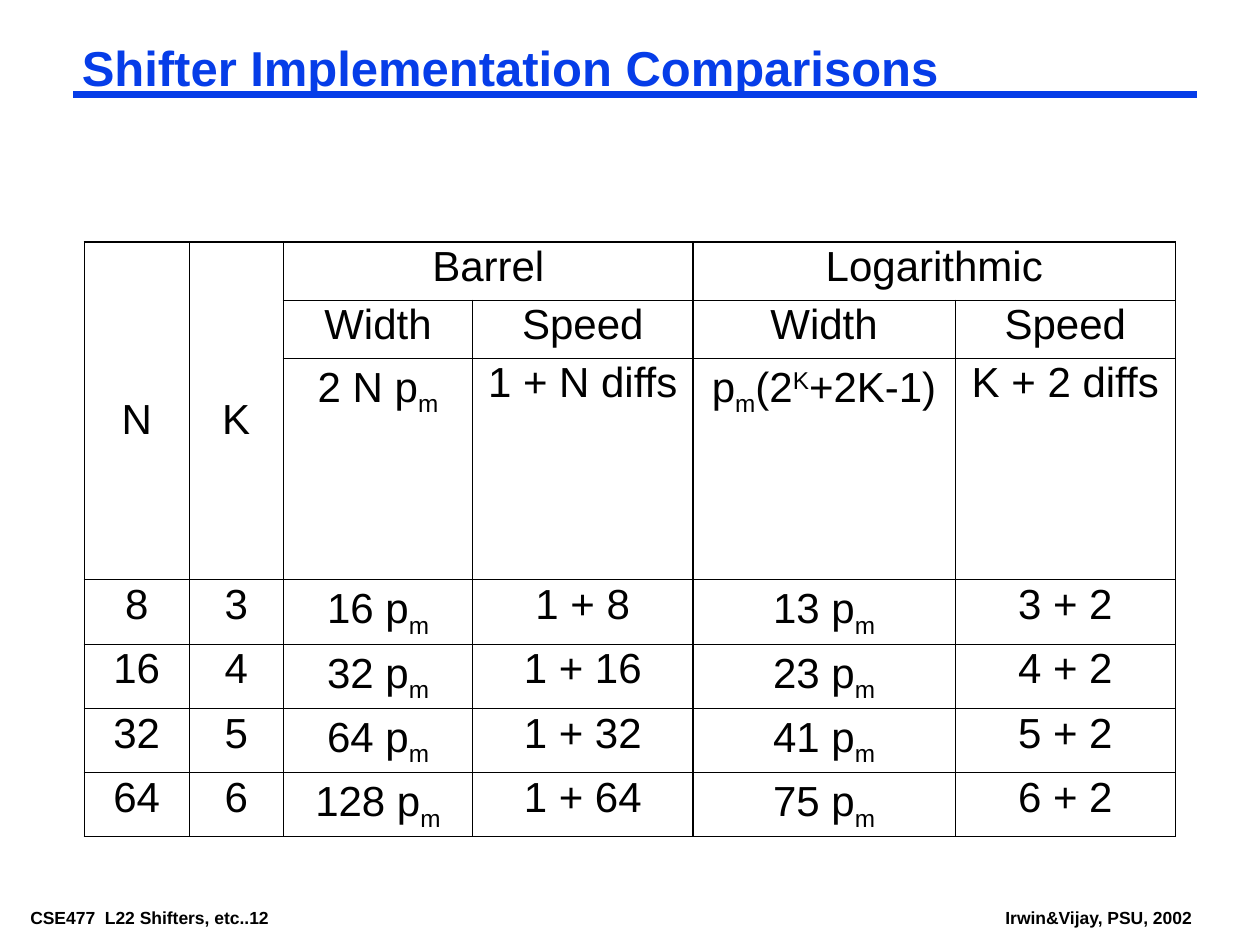
from dataclasses import dataclass
from itertools import product

from lxml.etree import SubElement
from pptx import Presentation
from pptx.dml.color import RGBColor
from pptx.enum.shapes import MSO_CONNECTOR
from pptx.enum.text import MSO_ANCHOR, MSO_AUTO_SIZE, PP_ALIGN
from pptx.oxml.ns import qn
from pptx.util import Inches, Pt


@dataclass(frozen=True)
class Theme:
    font: str = "Arial"
    ink: RGBColor = RGBColor(0x00, 0x00, 0x00)
    blue: RGBColor = RGBColor(0x06, 0x3D, 0xE8)
    paper: RGBColor = RGBColor(0xFF, 0xFF, 0xFF)
    head: int = 28
    body: int = 24
    foot: int = 10
    rule: float = 4.5
    thick: float = 1.08
    thin: float = 0.45


@dataclass(frozen=True)
class Note:
    text: str
    left: float
    width: float


@dataclass(frozen=True)
class Span:
    row: int
    col: int
    rows: int
    cols: int


THEME = Theme()
NOTES = [
    Note("CSE477  L22 Shifters, etc..12", 0.17, 2.55),
    Note("Irwin&Vijay, PSU, 2002", 7.91, 1.63),
]
COLS = [0.83, 0.75, 1.5, 1.75, 2.08, 1.75]
ROWS = [0.46, 0.46, 1.76] + [0.51] * 4
SPANS = [Span(0, 0, 3, 1), Span(0, 1, 3, 1), Span(0, 2, 1, 2), Span(0, 4, 1, 2)]
# Grid lines, counted from the left and from the top, that are thick
THICK_X = {0, 2, 3, 4, 6}
THICK_Y = {0, 3, 7}

# "|" parts the runs; "_" opens a subscript and "^" a superscript
HEADS = [
    ["N", "K", "Barrel", "", "Logarithmic", ""],
    ["", "", "Width", "Speed", "Width", "Speed"],
    ["", "", "2 N p|_m", "1 + N diffs", "p|_m|(2|^K|+2K-1)", "K + 2 diffs"],
]
SIZES = [(8, 3, 13), (16, 4, 23), (32, 5, 41), (64, 6, 75)]
DATA = [
    [str(n), str(k), f"{2 * n} p|_m", f"1 + {n}", f"{log} p|_m", f"{k} + 2"]
    for n, k, log in SIZES
]
SHIFT = {"_": "-25000", "^": "30000"}


def style(para, size: float, color: RGBColor, bold: bool = False) -> None:
    font = para.font
    font.name, font.size, font.bold = THEME.font, Pt(size), bold
    font.color.rgb = color


def inset(frame) -> None:
    frame.margin_left = frame.margin_right = Inches(0.07)
    frame.margin_top = frame.margin_bottom = Inches(0.03)


def add_title(slide, text: str) -> None:
    title = slide.shapes.title
    title.left, title.top = Inches(0.58), Inches(0.33)
    title.width, title.height = Inches(8.92), Inches(0.46)
    frame = title.text_frame
    inset(frame)
    frame.auto_size = MSO_AUTO_SIZE.SHAPE_TO_FIT_TEXT
    frame.vertical_anchor = MSO_ANCHOR.TOP
    frame.text = text
    para = frame.paragraphs[0]
    para.alignment, para.line_spacing = PP_ALIGN.LEFT, 0.87
    style(para, THEME.head, THEME.blue, True)


def add_rule(slide) -> None:
    y = Inches(0.75)
    rule = slide.shapes.add_connector(
        MSO_CONNECTOR.STRAIGHT, Inches(0.58), y, Inches(9.5), y)
    rule.line.color.rgb, rule.line.width = THEME.blue, Pt(THEME.rule)
    SubElement(rule._element.spPr, qn("a:effectLst"))


def add_note(slide, note: Note) -> None:
    box = slide.shapes.add_textbox(
        Inches(note.left), Inches(7.17), Inches(note.width), Inches(0.22))
    frame = box.text_frame
    inset(frame)
    frame.word_wrap = False
    frame.auto_size = MSO_AUTO_SIZE.SHAPE_TO_FIT_TEXT
    frame.text = note.text
    style(frame.paragraphs[0], THEME.foot, THEME.ink, True)


def fill_cell(cell, text: str) -> None:
    para = cell.text_frame.paragraphs[0]
    para.alignment, para.line_spacing = PP_ALIGN.CENTER, 0.9
    style(para, THEME.body, THEME.ink)
    for part in text.split("|"):
        run = para.add_run()
        run.text = part.lstrip("_^")
        if part[0] in SHIFT:
            run._r.get_or_add_rPr().set("baseline", SHIFT[part[0]])


def edge_cell(cell, row: int, col: int) -> None:
    """Draw the four borders, thick where the grid line is thick."""
    right, low = col + cell.span_width, row + cell.span_height
    props = cell._tc.get_or_add_tcPr()
    sides = {"L": col in THICK_X, "R": right in THICK_X,
             "T": row in THICK_Y, "B": low in THICK_Y}
    for side, thick in sides.items():
        width = Pt(THEME.thick if thick else THEME.thin)
        line = SubElement(props, qn(f"a:ln{side}"), w=str(width))
        fill = SubElement(line, qn("a:solidFill"))
        SubElement(fill, qn("a:srgbClr"), val=str(THEME.ink))


def add_grid(slide) -> None:
    grid = slide.shapes.add_table(
        len(ROWS), len(COLS), Inches(0.67), Inches(1.92),
        Inches(sum(COLS)), Inches(sum(ROWS))).table
    grid.first_row = grid.horz_banding = False
    for col, width in zip(grid.columns, COLS):
        col.width = Inches(width)
    for row, height in zip(grid.rows, ROWS):
        row.height = Inches(height)
    for span in SPANS:
        last = grid.cell(span.row + span.rows - 1, span.col + span.cols - 1)
        grid.cell(span.row, span.col).merge(last)
    texts = HEADS + DATA
    for row, col in product(range(len(ROWS)), range(len(COLS))):
        cell = grid.cell(row, col)
        if cell.is_spanned:
            continue
        edge_cell(cell, row, col)
        cell.fill.solid()
        cell.fill.fore_color.rgb = THEME.paper
        fill_cell(cell, texts[row][col])
        if cell.span_height > 1:
            cell.vertical_anchor = MSO_ANCHOR.MIDDLE
            cell.margin_top = Inches(0.22)


def main() -> None:
    deck = Presentation()
    deck.slide_width, deck.slide_height = Inches(10), Inches(7.5)
    slide = deck.slides.add_slide(deck.slide_layouts[5])
    for note in NOTES:
        add_note(slide, note)
    add_rule(slide)
    add_title(slide, "Shifter Implementation Comparisons")
    add_grid(slide)
    deck.save("out.pptx")


if __name__ == "__main__":
    main()
